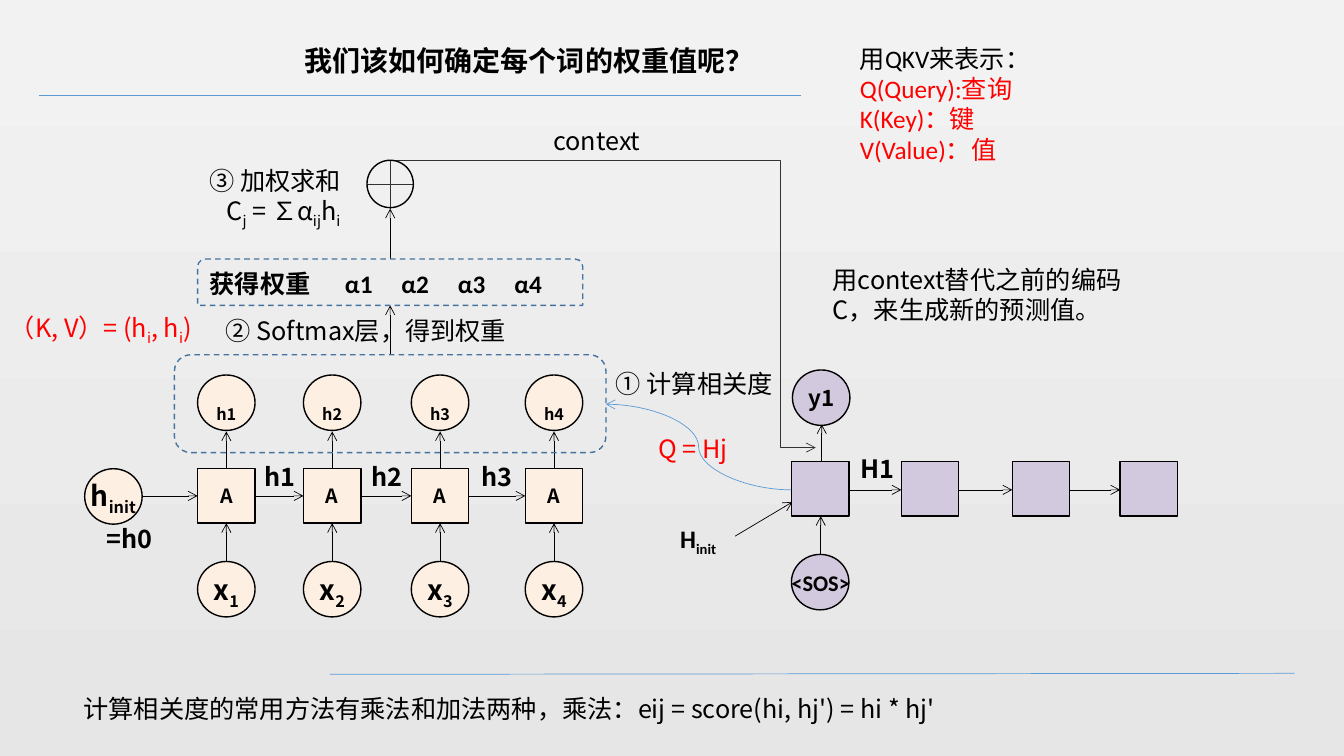
"""Build the attention slide: an encoder, a decoder and the three steps that weight the words."""
from lxml import etree
from pptx import Presentation
from pptx.dml import color
from pptx.enum import dml, shapes, text
from pptx.oxml import ns
from pptx.util import Inches, Pt


class Theme:
    sans = "Noto Sans CJK SC"
    latin = "Calibri"
    black = color.RGBColor.from_string("000000")
    red = color.RGBColor.from_string("FF0000")
    blue = color.RGBColor.from_string("5B9BD5")
    navy = color.RGBColor.from_string("43739E")
    grey = color.RGBColor.from_string("323232")
    peach = color.RGBColor.from_string("FDEFE1")
    lilac = color.RGBColor.from_string("D2C9DE")
    sky = color.RGBColor.from_string("F2F2F2")
    ground = color.RGBColor.from_string("E7E6E6")
    large, body, label, small = Pt(20), Pt(18), Pt(16), Pt(14)
    thin, outline = Pt(0.5), Pt(1)


def write(shape, lines, size=Theme.body, bold=False, align="LEFT", font=Theme.sans,
          ink=Theme.black, anchor="TOP"):
    """Fill a shape with paragraphs whose runs alternate between normal and subscript."""
    frame = shape.text_frame
    frame.word_wrap = True
    frame.auto_size = text.MSO_AUTO_SIZE.NONE
    frame.vertical_anchor = text.MSO_ANCHOR[anchor]
    for number, runs in enumerate(lines):
        para = frame.add_paragraph() if number else frame.paragraphs[0]
        para.alignment = text.PP_ALIGN[align]
        for position, words in enumerate(runs):
            if not words:
                continue
            span = para.add_run()
            span.text = words
            span.font.size, span.font.bold, span.font.name = size, bold, font
            span.font.color.rgb = ink
            props = span.font._element
            etree.SubElement(props, ns.qn("a:ea")).set("typeface", Theme.sans)
            if position % 2:
                props.set("baseline", "-25000")
    return frame


def link(start, end, ink=Theme.black, arrow=True, kind="STRAIGHT"):
    """Join two points with a thin line, by default with an arrowhead at its end."""
    line = slide.shapes.add_connector(
        shapes.MSO_CONNECTOR[kind], *[Inches(value) for value in (*start, *end)])
    line.line.width = Theme.thin
    line.line.color.rgb = ink
    if arrow:
        outline = line._element.xpath(".//a:ln")[0]
        etree.SubElement(outline, ns.qn("a:tailEnd")).set("type", "arrow")
    etree.SubElement(line._element.spPr, ns.qn("a:effectLst"))
    return line


deck = Presentation()
deck.slide_width, deck.slide_height = Inches(13.33), Inches(7.5)
slide = deck.slides.add_slide(deck.slide_layouts[5])

backdrop = slide.background.fill
backdrop.gradient()
backdrop.gradient_angle = 270
for stop, shade, place in zip(backdrop.gradient_stops, (Theme.sky, Theme.ground), (0, 1)):
    stop.color.rgb, stop.position = shade, place

title = slide.shapes.title
title.left, title.top, title.width, title.height = [Inches(v) for v in (2.92, 0.38, 5.24, 0.44)]
write(title, [["我们该如何确定每个词的权重值呢？"]], Theme.large, True)

link((0.39, 0.95), (7.94, 0.95), Theme.blue, False)
link((12.84, 6.68), (3.27, 6.69), Theme.blue, False)

encoder_lefts = (1.96, 3.01, 4.08, 5.21)
decoder_lefts = (7.85, 8.94, 10.04, 11.11)
node_width, node_height, square_height = 0.57, 0.55, 0.54
encoder_top, decoder_top, state_top, input_top = 4.65, 4.58, 3.72, 5.57

nodes = [("OVAL", 0.84, encoder_top, Theme.peach, ""),
         ("OVAL", 7.86, 3.67, Theme.lilac, ""),
         ("OVAL", 7.85, 5.5, Theme.lilac, "")]
nodes += [("RECTANGLE", left, decoder_top, Theme.lilac, "") for left in decoder_lefts]
labels = []
for number, left in enumerate(encoder_lefts, 1):
    nodes += [("RECTANGLE", left, encoder_top, Theme.peach, "A"),
              ("OVAL", left, state_top, Theme.peach, ""),
              ("OVAL", left, input_top, Theme.peach, "")]
    labels += [(left - 0.14, state_top + 0.06, 0.85, ["", f"h{number}"], Theme.large, Theme.sans),
               (left - 0.14, input_top + 0.06, 0.85, ["x", str(number)], Theme.large, Theme.sans)]
    middle = left + node_width / 2
    link((middle, input_top), (middle, 5.19))
    link((middle, encoder_top), (middle, 4.28))

for lefts, level in (((0.84, *encoder_lefts), 4.92), (decoder_lefts, 4.86)):
    for left, following in zip(lefts, lefts[1:]):
        link((left + node_width, level), (following, level))

for start, end in [((3.87, 3.52), (3.87, 3.03)), ((3.87, 2.57), (3.87, 2.07)),
                   ((7.29, 5.32), (7.86, 4.98)), ((8.15, 4.59), (8.15, 4.21)),
                   ((8.14, 5.5), (8.14, 5.12))]:
    link(start, end)
link((3.64, 1.83), (4.1, 1.83), Theme.grey, False)
link((3.87, 1.59), (3.87, 2.07), Theme.grey, False)
link((7.85, 4.86), (6.01, 4.01), Theme.blue, kind="CURVE")
context_path = link((3.87, 1.59), (8.09, 4.44), Theme.grey, kind="ELBOW")
bend = etree.SubElement(context_path._element.xpath(".//a:avLst")[0], ns.qn("a:gd"))
bend.set("name", "adj1")
bend.set("fmla", "val 91700")

outlines = [(kind, left, top, node_width, square_height if kind == "RECTANGLE" else node_height,
             fill, words) for kind, left, top, fill, words in nodes]
outlines += [("OVAL", 3.64, 1.59, 0.46, 0.47, None, ""),
             ("ROUNDED_RECTANGLE", 1.73, 3.52, 4.28, 0.97, None, ""),
             ("ROUND_2_SAME_RECTANGLE", 1.96, 2.57, 3.82, 0.46, None, "")]
for kind, left, top, width, height, fill, words in outlines:
    box = slide.shapes.add_shape(
        shapes.MSO_SHAPE[kind], *[Inches(value) for value in (left, top, width, height)])
    box.shadow.inherit = False
    box.line.width = Theme.outline
    box.line.color.rgb = Theme.black
    if fill:
        box.fill.solid()
        box.fill.fore_color.rgb = fill
    else:
        box.fill.background()
    if kind.startswith("ROUND"):
        box.line.color.rgb = Theme.navy
        box.line.dash_style = dml.MSO_LINE.DASH
    if words:
        write(box, [[words]], Theme.small, True, "CENTER", anchor="MIDDLE")

weights = write(box, [["获得权重\tα1\tα2\tα3\tα4"]], bold=True, font=Theme.latin, anchor="MIDDLE")
tabs = etree.SubElement(weights.paragraphs[0]._p.get_or_add_pPr(), ns.qn("a:tabLst"))
for column in range(4):
    tab = etree.SubElement(tabs, ns.qn("a:tab"))
    tab.set("pos", str(Inches(1.34 + 0.56 * column)))
    tab.set("algn", "l")

labels += [(0.7, 4.7, 0.85, ["h", "init"], Theme.large, Theme.sans),
           (0.84, 5.14, 0.89, ["=h0"], Theme.body, Theme.sans),
           (2.49, 4.53, 0.57, ["h1"], Theme.body, Theme.sans),
           (3.55, 4.53, 0.57, ["h2"], Theme.body, Theme.sans),
           (4.64, 4.53, 0.57, ["h3"], Theme.body, Theme.sans),
           (6.53, 5.14, 0.79, ["H", "init"], Theme.body, Theme.latin),
           (7.69, 3.76, 0.92, ["y1"], Theme.label, Theme.sans),
           (8.37, 4.45, 0.67, ["H1"], Theme.body, Theme.sans),
           (7.63, 5.6, 1.02, ["<SOS>"], Theme.label, Theme.latin)]
for left, top, width, runs, size, font in labels:
    box = slide.shapes.add_textbox(Inches(left), Inches(top), Inches(width), Inches(0.4))
    write(box, [runs], size, True, "CENTER", font)

notes = [
    (2.03, 3.08, 3.2, 0.4, [["② Softmax层，得到权重"]], "CENTER", Theme.black),
    (0.73, 6.83, 9.4, 0.4,
     [["计算相关度的常用方法有乘法和加法两种，乘法：eij = score(hi, hj') = hi * hj'"]],
     "LEFT", Theme.black),
    (6.01, 3.61, 1.8, 0.4, [["① 计算相关度"]], "LEFT", Theme.black),
    (5.21, 1.19, 1.42, 0.4, [["context"]], "CENTER", Theme.black),
    (8.16, 2.57, 3.33, 0.71, [["用context替代之前的编码C，来生成新的预测值。"]], "LEFT", Theme.black),
    (0, 3.05, 2.2, 0.4, [["（K, V）= (h", "i", ", h", "i", ")"]], "LEFT", Theme.red),
    (6.43, 4.25, 1.56, 0.4, [["Q = Hj"]], "LEFT", Theme.red),
    (1.98, 1.59, 1.74, 0.71, [["③ 加权求和"], ["C", "j", " = ∑α", "ij", "h", "i"]],
     "LEFT", Theme.black)]
for left, top, width, height, lines, align, ink in notes:
    box = slide.shapes.add_textbox(Inches(left), Inches(top), Inches(width), Inches(height))
    frame = write(box, lines, align=align, ink=ink)
frame.paragraphs[1]._p.get_or_add_pPr().set("marL", str(Inches(0.17)))

legend = slide.shapes.add_textbox(Inches(8.43), Inches(0.38), Inches(2.77), Inches(1.31))
frame = write(legend, [["用QKV来表示："], ["Q(Query):查询"], ["K(Key)：键"], ["V(Value)：值"]],
              font=Theme.latin, ink=Theme.red)
frame.paragraphs[0].runs[0].font.color.rgb = Theme.black

deck.save("out.pptx")
